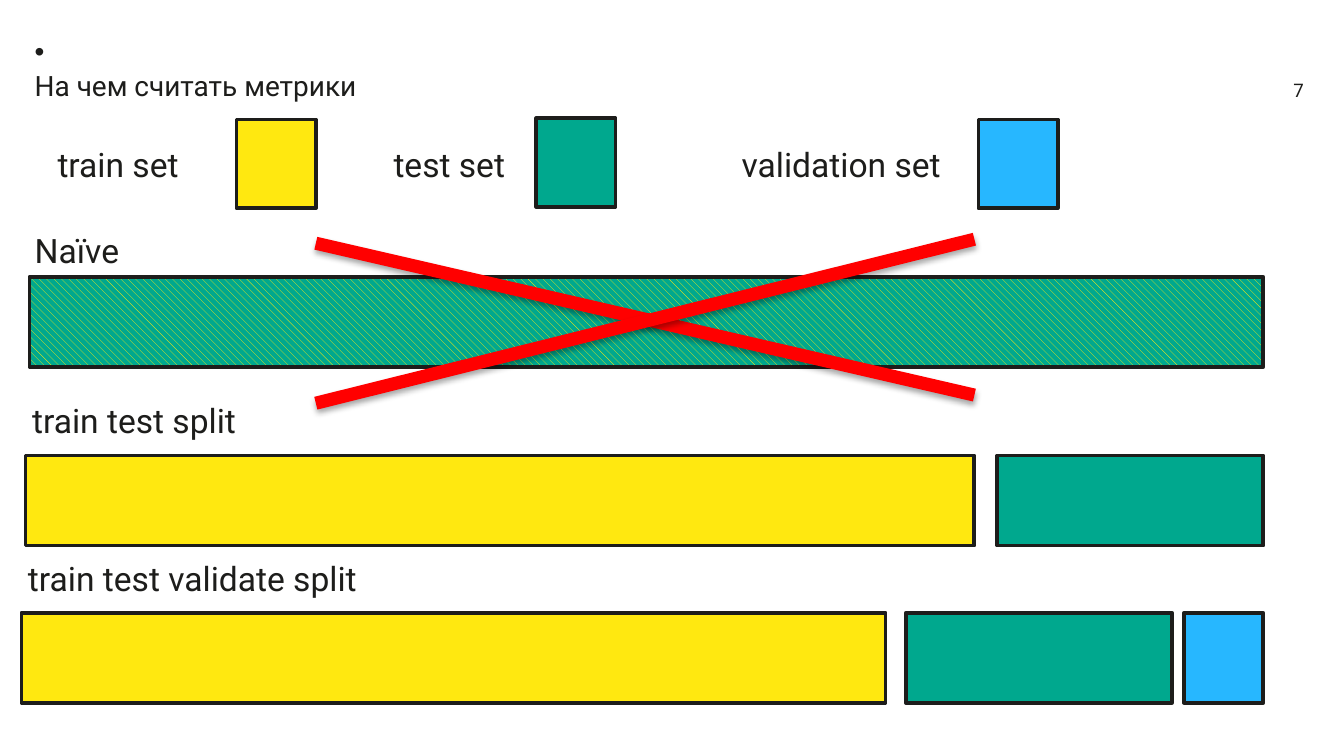
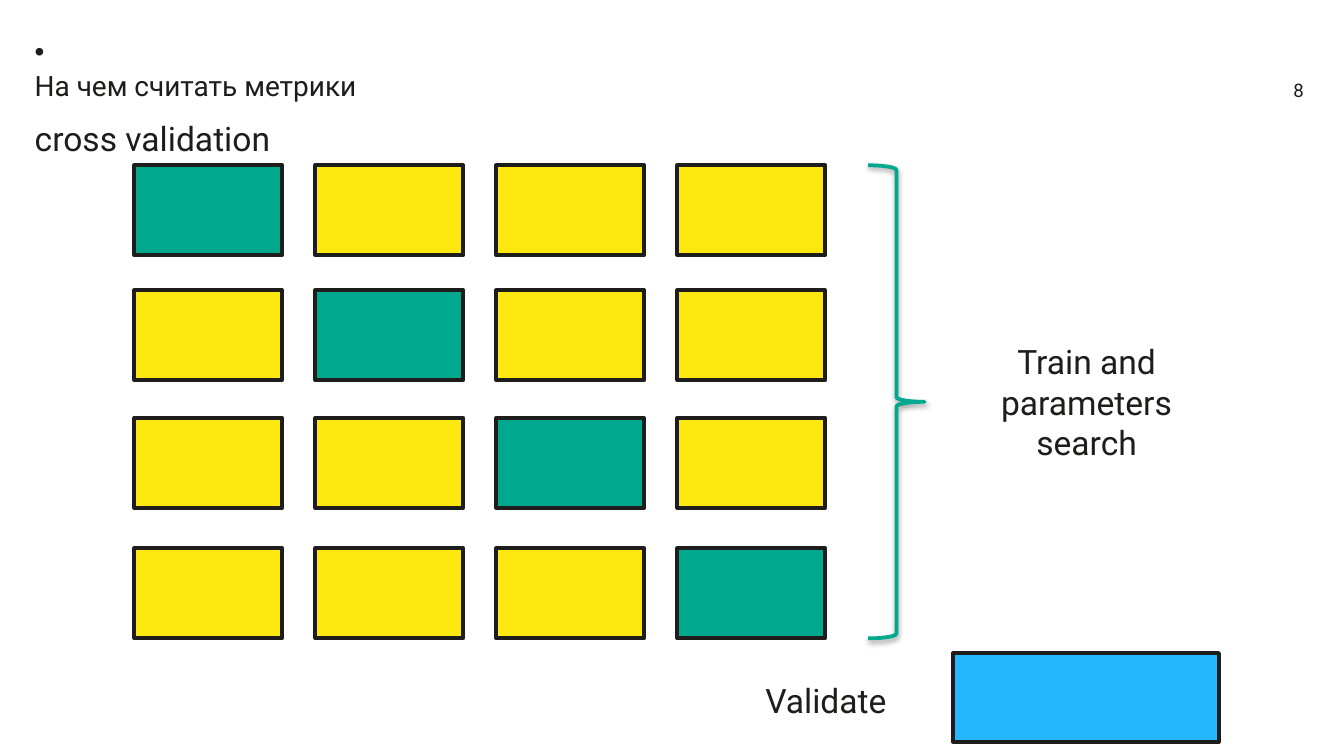
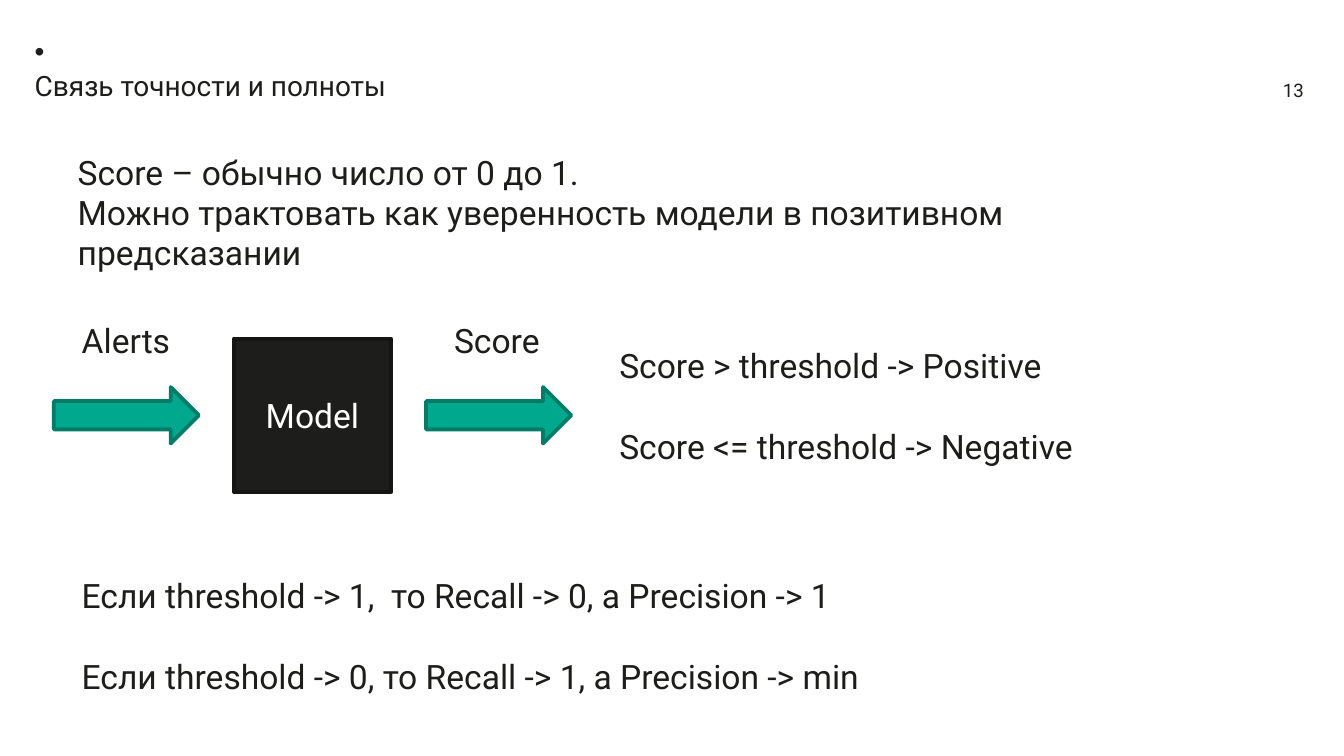
from lxml.etree import SubElement
from pptx import Presentation
from pptx.dml.color import RGBColor
from pptx.enum.dml import MSO_PATTERN
from pptx.enum.shapes import MSO_CONNECTOR, MSO_SHAPE
from pptx.enum.text import MSO_ANCHOR, MSO_AUTO_SIZE, PP_ALIGN
from pptx.oxml.ns import qn
from pptx.util import Inches, Pt

FONT = "Roboto"
INK = RGBColor(0x1D, 0x1D, 0x1B)
INK_EDGE = RGBColor(0x15, 0x15, 0x14)
WHITE = RGBColor(0xFF, 0xFF, 0xFF)
TRAIN = RGBColor(0xFF, 0xE8, 0x10)
TEST = RGBColor(0x00, 0xA8, 0x8E)
TEST_EDGE = RGBColor(0x00, 0x7C, 0x69)
VALIDATION = RGBColor(0x27, 0xB7, 0xFF)
RED = RGBColor(0xFF, 0x00, 0x00)

BAR_HEIGHT = 0.67
SMALL = 0.59
TEST_WIDTH = 1.98
RIGHT_EDGE = 9.4
LINE_GAP = 21.5


def write_text(frame, *lines, size=18, color=INK, align=PP_ALIGN.LEFT, gap=0):
    """Fill a text frame with one paragraph per line; gap is the space between."""
    for index, line in enumerate(lines):
        paragraph = frame.paragraphs[0] if index == 0 else frame.add_paragraph()
        paragraph.text = line
        paragraph.alignment = align
        if index:
            paragraph.space_before = Pt(gap)
        for run in paragraph.runs:
            run.font.name = FONT
            run.font.size = Pt(size)
            run.font.color.rgb = color


def add_text(slide, left, top, width, *lines, height=0.4, wrap=False,
             grow=True, **text_format):
    """Add a text box and return its frame."""
    box = slide.shapes.add_textbox(
        Inches(left), Inches(top), Inches(width), Inches(height))
    frame = box.text_frame
    frame.word_wrap = wrap
    frame.auto_size = MSO_AUTO_SIZE.SHAPE_TO_FIT_TEXT if grow else MSO_AUTO_SIZE.NONE
    write_text(frame, *lines, **text_format)
    return frame


def add_shape(slide, left, top, width, height, fill=None, line=INK,
              kind=MSO_SHAPE.RECTANGLE):
    """Add an outlined preset shape, filled when a colour is given."""
    shape = slide.shapes.add_shape(
        kind, Inches(left), Inches(top), Inches(width), Inches(height))
    shape.shadow.inherit = False
    if fill is None:
        shape.fill.background()
    else:
        shape.fill.solid()
        shape.fill.fore_color.rgb = fill
    shape.line.color.rgb = line
    shape.line.width = Pt(2)
    return shape


def add_shadow(shape, distance, opacity):
    """Give a shape or connector a soft shadow that falls downwards."""
    properties = shape._element.spPr
    effects = properties.find(qn("a:effectLst"))
    if effects is None:
        effects = SubElement(properties, qn("a:effectLst"))
    shadow = SubElement(effects, qn("a:outerShdw"), blurRad=str(Pt(3.1)),
                        dist=str(Pt(distance)), dir="5400000", rotWithShape="0")
    color = SubElement(shadow, qn("a:srgbClr"), val="000000")
    SubElement(color, qn("a:alpha"), val=str(opacity * 1000))


def add_strike(slide, start_y, end_y):
    """Draw one thick red stroke of the cross."""
    stroke = slide.shapes.add_connector(
        MSO_CONNECTOR.STRAIGHT, Inches(2.35), Inches(start_y),
        Inches(7.25), Inches(end_y))
    stroke.line.color.rgb = RED
    stroke.line.width = Pt(7)
    add_shadow(stroke, distance=1.8, opacity=35)


def add_slide(presentation, title, number):
    """Add a blank slide with the shared title and slide number."""
    slide = presentation.slides.add_slide(presentation.slide_layouts[6])
    add_text(slide, 8.37, 0.54, 1.43, str(number), height=0.27, wrap=True,
             size=10, align=PP_ALIGN.RIGHT)
    # The bullet stands on a line of its own above the title.
    frame = add_text(slide, 0.16, 0.21, 9.61, "\v" + title, height=0.59,
                     wrap=True, grow=False, size=15)
    paragraph = frame.paragraphs[0]._p
    properties = paragraph.get_or_add_pPr()
    properties.set("marL", "0")
    properties.set("indent", "0")
    SubElement(properties, qn("a:buFont"), typeface="Arial")
    SubElement(properties, qn("a:buChar"), char="•")
    line_break = paragraph.find(qn("a:br"))
    break_format = SubElement(line_break, qn("a:rPr"), sz="1500")
    break_fill = SubElement(break_format, qn("a:solidFill"))
    SubElement(break_fill, qn("a:srgbClr"), val=str(INK))
    SubElement(break_format, qn("a:latin"), typeface=FONT)
    return slide


def add_split(slide, label, label_left, label_width, top, parts):
    """Add a labelled row of bars; parts hold left, right and colour."""
    add_text(slide, label_left, top - 0.46, label_width, label)
    for left, right, color in parts:
        add_shape(slide, left, top, right - left, BAR_HEIGHT, color)


def build_splits(presentation):
    """Compare the ways to divide a data set."""
    slide = add_slide(presentation, "На чем считать метрики", 7)
    add_text(slide, 0.16, 1.66, 0.84, "Naïve")
    mixed = add_shape(slide, 0.22, 2.06, RIGHT_EDGE - 0.22, BAR_HEIGHT, TEST)
    mixed.fill.patterned()
    mixed.fill.pattern = MSO_PATTERN.WIDE_DOWNWARD_DIAGONAL
    mixed.fill.fore_color.rgb = TRAIN
    mixed.fill.back_color.rgb = TEST

    legend = [("train set", 0.33, 1.16, 1.76, 0.89, TRAIN),
              ("test set", 2.83, 1.1, 3.99, 0.88, TEST),
              ("validation set", 5.42, 1.74, 7.28, 0.89, VALIDATION)]
    for label, left, width, swatch_left, swatch_top, color in legend:
        add_text(slide, left, 1.02, width, label)
        add_shape(slide, swatch_left, swatch_top, SMALL, 0.66, color)

    add_split(slide, "train test split", 0.14, 1.81, 3.39, [
        (0.19, 7.25, TRAIN),
        (RIGHT_EDGE - TEST_WIDTH, RIGHT_EDGE, TEST)])
    add_split(slide, "train test validate split", 0.11, 2.78, 4.56, [
        (0.16, 6.59, TRAIN),
        (6.74, 6.74 + TEST_WIDTH, TEST),
        (RIGHT_EDGE - SMALL, RIGHT_EDGE, VALIDATION)])
    add_strike(slide, 1.81, 2.94)
    add_strike(slide, 3, 1.78)


def build_cross_validation(presentation):
    """Show four folds, with the test part moving along the diagonal."""
    slide = add_slide(presentation, "На чем считать метрики", 8)
    add_text(slide, 0.16, 0.83, 2.05, "cross validation ")
    add_shape(slide, 7.09, 4.86, TEST_WIDTH, 0.66, VALIDATION)
    fold_tops = (1.23, 2.16, 3.11, 4.08)
    column_step = 4.04 / 3
    for row, top in enumerate(fold_tops):
        for column in range(len(fold_tops)):
            add_shape(slide, 1 + column_step * column, top, 1.1, BAR_HEIGHT,
                      TEST if row == column else TRAIN)
    brace = add_shape(slide, 6.46, 1.23, 0.42, 3.52, line=TEST,
                      kind=MSO_SHAPE.RIGHT_BRACE)
    add_shadow(brace, distance=1.6, opacity=38)
    add_text(slide, 7.06, 2.49, 2.05, "Train and parameters search",
             height=1.01, wrap=True, align=PP_ALIGN.CENTER)
    add_text(slide, 5.12, 5.01, 2.05, "Validate", wrap=True,
             align=PP_ALIGN.CENTER)


def build_threshold(presentation):
    """Explain how the score threshold trades precision for recall."""
    slide = add_slide(presentation, "Связь точности и полноты", 13)
    model = add_shape(slide, 1.74, 2.52, 1.17, 1.14, INK, line=INK_EDGE)
    model.text_frame.vertical_anchor = MSO_ANCHOR.MIDDLE
    write_text(model.text_frame, "Model", color=WHITE, align=PP_ALIGN.CENTER)
    for label, left, width in [("Alerts", 0.4, 0.9), ("Score", 3.17, 0.88)]:
        add_shape(slide, left, 2.88, 1.08, 0.42, TEST, line=TEST_EDGE,
                  kind=MSO_SHAPE.RIGHT_ARROW)
        add_text(slide, left + 0.11, 2.33, width, label)
    add_text(slide, 0.48, 1.08, 8.67,
             "Score – обычно число от 0 до 1.",
             "Можно трактовать как уверенность модели в позитивном предсказании",
             height=0.71, wrap=True)
    add_text(slide, 4.51, 2.52, 3.66,
             "Score > threshold -> Positive",
             "Score <= threshold -> Negative", height=1.01, gap=LINE_GAP)
    add_text(slide, 0.51, 4.23, 6.07,
             "Если threshold -> 1,  то Recall -> 0, а Precision -> 1",
             "Если threshold -> 0, то Recall -> 1, а Precision -> min ",
             height=1.01, gap=LINE_GAP)


def main():
    """Build the three slides and save them."""
    presentation = Presentation()
    presentation.slide_width = Inches(10)
    presentation.slide_height = Inches(10) * 9 // 16
    build_splits(presentation)
    build_cross_validation(presentation)
    build_threshold(presentation)
    presentation.save("out.pptx")


main()
